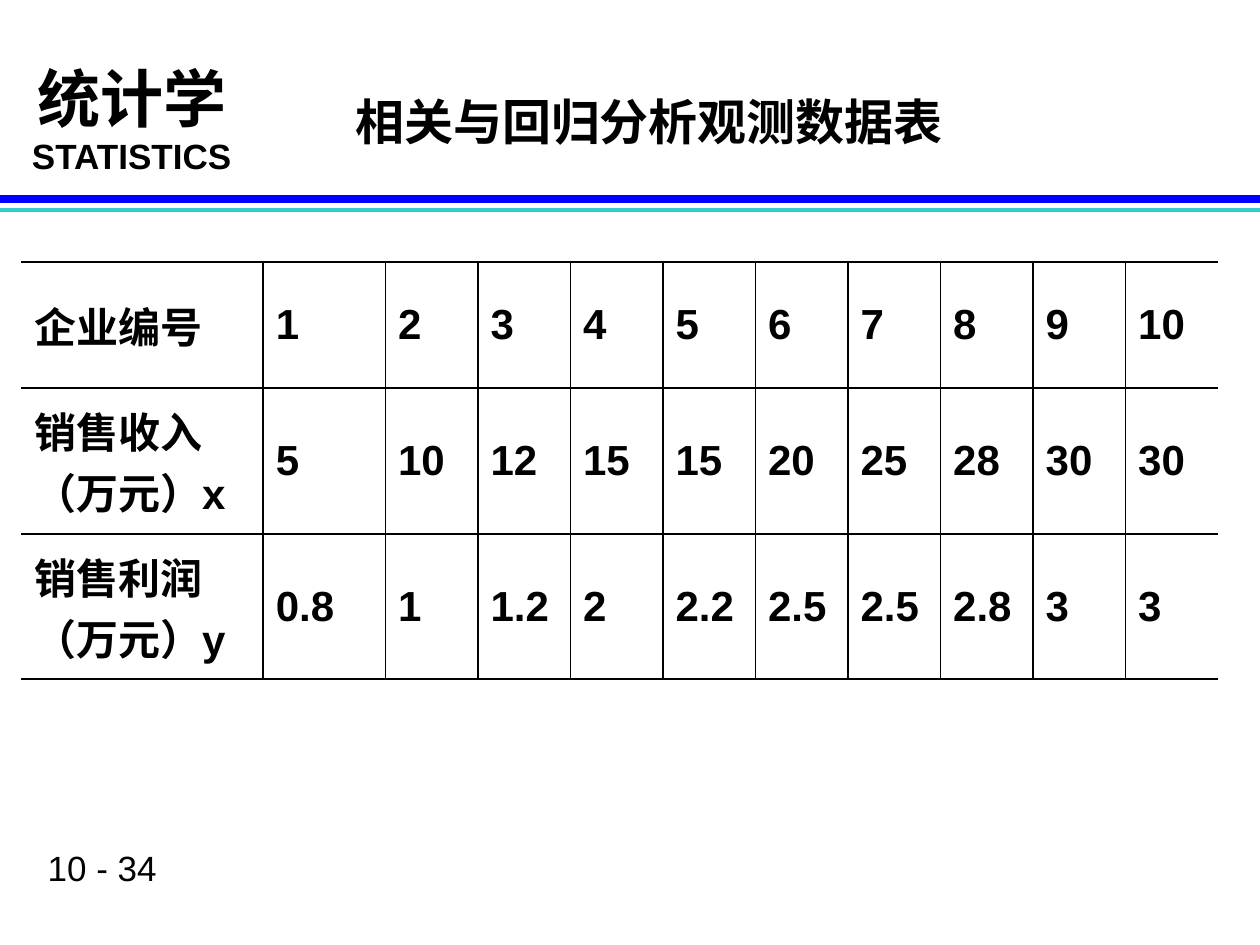
from dataclasses import dataclass

from lxml import etree
from pptx import Presentation
from pptx.dml.color import RGBColor
from pptx.enum.shapes import MSO_CONNECTOR
from pptx.enum.text import MSO_ANCHOR, PP_ALIGN
from pptx.oxml.ns import qn
from pptx.util import Inches, Pt

STRAIGHT = MSO_CONNECTOR.STRAIGHT
MIDDLE = MSO_ANCHOR.MIDDLE
CENTER = PP_ALIGN.CENTER


@dataclass(frozen=True)
class Theme:
    text: str = "000000"
    rule_main: str = "0000FF"
    rule_thin: str = "33CCCC"
    font: str = "Arial"
    title_font: str = "Cambria"
    course: int = 36
    title: int = 28
    cell: int = 24
    small: int = 20
    border: float = 1.08


THEME = Theme()
ROWS = [
    ["企业编号", "1", "2", "3", "4", "5", "6", "7", "8", "9", "10"],
    ["销售收入（万元）x", "5", "10", "12", "15", "15", "20", "25", "28", "30", "30"],
    ["销售利润（万元）y", "0.8", "1", "1.2", "2", "2.2", "2.5", "2.5", "2.8", "3", "3"],
]
LABEL_WIDTH, FIRST_WIDTH = 1.92, 0.97
ROW_HEIGHTS = [1, 1.16, 1.15]


def add_run(p, text, size, bold=False, name=THEME.font):
    r = p.add_run()
    r.text = text
    for key, value in {"size": Pt(size), "bold": bold, "name": name}.items():
        setattr(r.font, key, value)
    r.font.color.rgb = RGBColor.from_string(THEME.text)


def add_text_frame(s, x, y, w, h, wrap):
    tf = s.shapes.add_textbox(Inches(x), Inches(y), Inches(w), Inches(h)).text_frame
    tf.word_wrap = wrap
    return tf


def add_title(s, x, y, w, h):
    sp = s.shapes.title
    for key, value in {"left": x, "top": y, "width": w, "height": h}.items():
        setattr(sp, key, Inches(value))
    tf = sp.text_frame
    tf.vertical_anchor = MIDDLE
    p = tf.paragraphs[0]
    p.alignment = CENTER
    p.line_spacing = 0.95
    add_run(p, "相关与回归分析观测数据表", THEME.title, True, THEME.title_font)


def add_course_name(s, x, y, w, h):
    p = add_text_frame(s, x, y, w, h, True).paragraphs[0]
    p.alignment = CENTER
    add_run(p, "统计学", THEME.course, True)
    p.add_line_break()
    add_run(p, "STATISTICS", THEME.small, True)


def add_page_number(s, x, y, w, h):
    p = add_text_frame(s, x, y, w, h, False).paragraphs[0]
    add_run(p, "10 - 34", THEME.small)


def add_rule(s, x, y, w, color, weight):
    line = s.shapes.add_connector(STRAIGHT, Inches(x), Inches(y), Inches(x + w), Inches(y))
    line.line.color.rgb = RGBColor.from_string(color)
    line.line.width = Pt(weight)
    etree.SubElement(line._element.spPr, qn("a:effectLst"))


def set_borders(cell, visible):
    """Draw the listed sides and clear the others; borders precede the fill."""
    tc_pr = cell._tc.get_or_add_tcPr()
    for i, side in enumerate("LRTB"):
        ln = etree.Element(qn(f"a:ln{side}"), w=str(Pt(THEME.border)))
        if side in visible:
            fill = etree.SubElement(ln, qn("a:solidFill"))
            etree.SubElement(fill, qn("a:srgbClr"), val=THEME.text)
        else:
            etree.SubElement(ln, qn("a:noFill"))
        tc_pr.insert(i, ln)


def add_data_table(s, x, y, w, h):
    last = len(ROWS[0]) - 1
    table = s.shapes.add_table(
        len(ROWS), last + 1, Inches(x), Inches(y), Inches(w), Inches(h)).table
    table.first_row = table.horz_banding = False
    other = (w - LABEL_WIDTH - FIRST_WIDTH) / (last - 1)
    widths = [LABEL_WIDTH, FIRST_WIDTH] + [other] * (last - 1)
    for col, width in zip(table.columns, widths):
        col.width = Inches(width)
    for row, height, values in zip(table.rows, ROW_HEIGHTS, ROWS):
        row.height = Inches(height)
        for c, (cell, value) in enumerate(zip(row.cells, values)):
            cell.fill.background()
            cell.vertical_anchor = MIDDLE
            add_run(cell.text_frame.paragraphs[0], value, THEME.cell, True)
            set_borders(cell, "TB" + ("L" if c > 0 else "") + ("R" if c < last else ""))


def main():
    prs = Presentation()
    prs.slide_width, prs.slide_height = Inches(10), Inches(7.5)
    s = prs.slides.add_slide(prs.slide_layouts[5])
    add_page_number(s, 0.28, 6.67, 2.02, 0.43)
    add_course_name(s, 0, 0.42, 2.09, 1.36)
    add_rule(s, 0, 1.67, 10, THEME.rule_thin, 2.25)
    add_rule(s, 0, 1.58, 10, THEME.rule_main, 4.5)
    add_title(s, 0.9, 0.36, 8.5, 1.25)
    add_data_table(s, 0.17, 2.08, 9.5, sum(ROW_HEIGHTS))
    prs.save("out.pptx")


if __name__ == "__main__":
    main()
